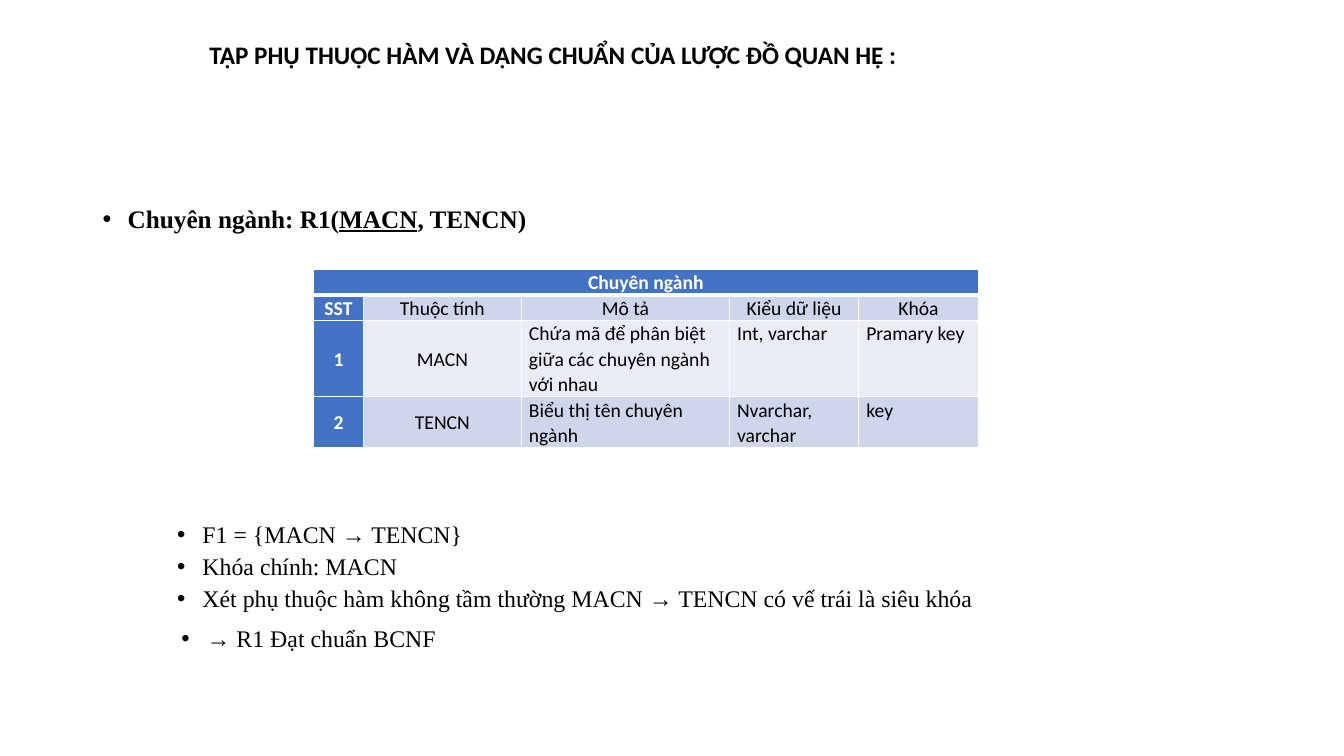
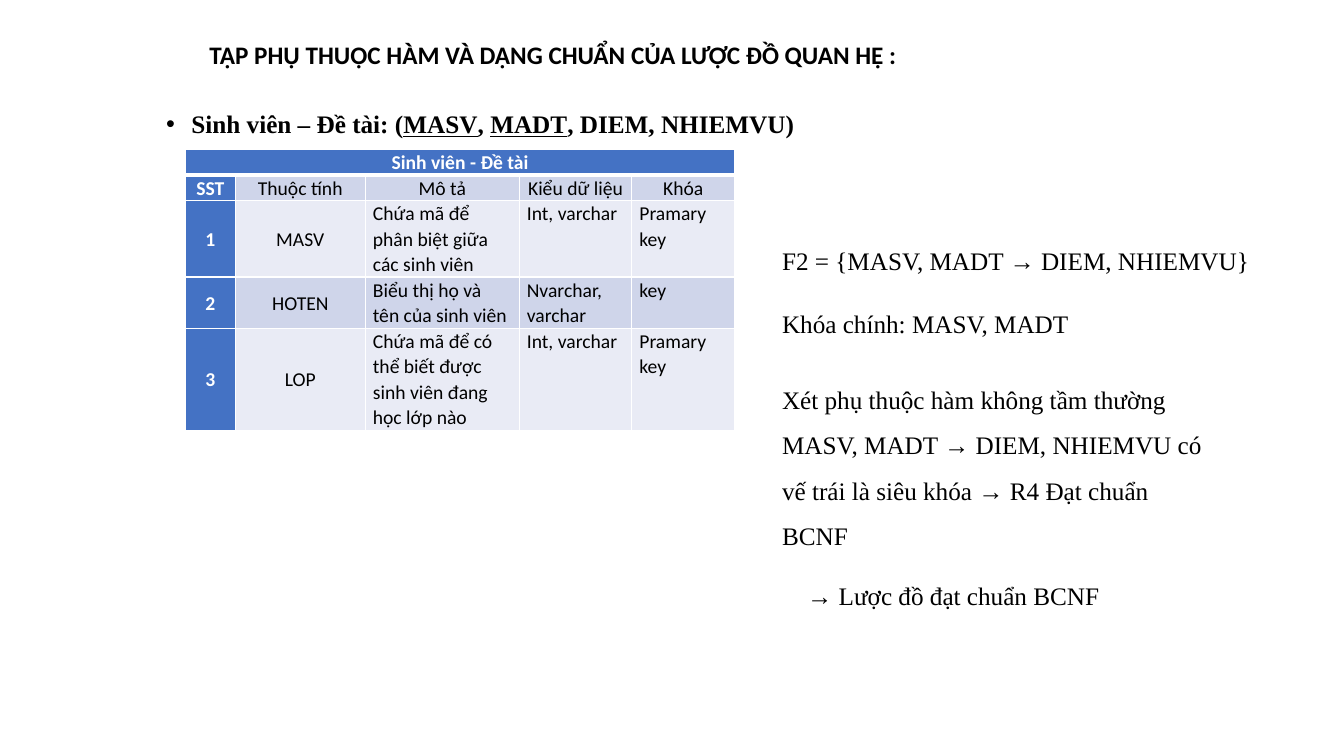
import pptx
import pptx.util
import pptx.dml.color
import pptx.enum.text
import pptx.oxml.ns
from lxml import etree

Pt = pptx.util.Pt
RGBColor = pptx.dml.color.RGBColor
PP_ALIGN = pptx.enum.text.PP_ALIGN
MSO_ANCHOR = pptx.enum.text.MSO_ANCHOR
qn = pptx.oxml.ns.qn

BLACK = RGBColor(0x00, 0x00, 0x00)
WHITE = RGBColor(0xFF, 0xFF, 0xFF)
HEADER_BLUE = RGBColor(0x44, 0x72, 0xC4)
BAND_DARK = RGBColor(0xCF, 0xD5, 0xEA)
BAND_LIGHT = RGBColor(0xE9, 0xEB, 0xF5)

TITLE = "TẬP PHỤ THUỘC HÀM VÀ DẠNG CHUẨN CỦA LƯỢC ĐỒ QUAN HỆ :"
TITLE_FONT = {"name": "Calibri", "size": Pt(18), "bold": True}
HEADING_FONT = {"name": "Times New Roman", "size": Pt(18), "bold": True}
LIST_FONT = {"name": "Times New Roman", "size": Pt(17), "bold": False}
NOTE_FONT = {"name": "Times New Roman", "size": Pt(18), "bold": False}
CELL_FONT = {"name": "Calibri", "size": Pt(14)}
CELL_MARGINS = {"margin_left": Pt(5.4), "margin_right": Pt(5.4),
                "margin_top": 0, "margin_bottom": 0}

TIGHT = {"line_spacing": 0.9, "space_before": Pt(4.5)}
LOOSE = {"line_spacing": 0.9, "space_before": Pt(10)}
BULLET_HANG = 18
ROW_LINE = 18.25
COLUMN_HEADS = ["SST", "Thuộc tính", "Mô tả", "Kiểu dữ liệu", "Khóa"]


def set_values(target, values):
    for name, value in values.items():
        setattr(target, name, value)


def add_text(slide, box, font, paragraphs):
    """Each paragraph is (text, format, left indent, bulleted); _x_ underlines x."""
    frame = slide.shapes.add_textbox(*map(Pt, box)).text_frame
    frame.word_wrap = True
    for number, (text, layout, indent, bulleted) in enumerate(paragraphs):
        paragraph = frame.add_paragraph() if number else frame.paragraphs[0]
        set_values(paragraph, layout)
        properties = paragraph._p.get_or_add_pPr()
        properties.set("marL", str(Pt(indent)))
        if bulleted:
            properties.set("indent", str(-Pt(BULLET_HANG)))
            etree.SubElement(properties, qn("a:buFont")).set("typeface", "Arial")
            etree.SubElement(properties, qn("a:buChar")).set("char", "•")
        for part, piece in enumerate(text.split("_")):
            run = paragraph.add_run()
            run.text = piece
            set_values(run.font, {**font, "underline": part % 2 == 1})
            run.font.color.rgb = BLACK


relations = [
    {
        "heading": "Chuyên ngành: R1(_MACN_, TENCN)",
        "heading_box": (66.2, 144, 828, 30),
        "table_name": "Chuyên ngành",
        "table_at": (224, 192.3),
        "columns": [35.6, 112.9, 148.7, 92.3, 85.3],
        "attributes": [
            (3, "MACN", "Chứa mã để phân biệt giữa các chuyên ngành với nhau",
             "Int, varchar", "Pramary key"),
            (2, "TENCN", "Biểu thị tên chuyên ngành", "Nvarchar, varchar", "key"),
        ],
        "notes": [
            ((119.5, 370, 774, 110), LIST_FONT, [
                ("F1 = {MACN → TENCN}", TIGHT, 18, True),
                ("Khóa chính: MACN", TIGHT, 18, True),
                ("Xét phụ thuộc hàm không tầm thường MACN → TENCN có vế trái là siêu khóa",
                 TIGHT, 18, True),
                ("→ R1 Đạt chuẩn BCNF", LOOSE, 21, True),
            ]),
        ],
    },
    {
        "heading": "Sinh viên – Đề tài: (_MASV_, _MADT_, DIEM, NHIEMVU)",
        "heading_box": (111.6, 76.3, 774, 30),
        "table_name": "Sinh viên - Đề tài",
        "table_at": (132.5, 106.7),
        "columns": [35.6, 92.9, 110, 80.4, 73.5],
        "attributes": [
            (3, "MASV", "Chứa mã để phân biệt giữa các sinh viên",
             "Int, varchar", "Pramary key"),
            (2, "HOTEN", "Biểu thị họ và tên của sinh viên",
             "Nvarchar, varchar", "key"),
            (4, "LOP", "Chứa mã để có thể biết được sinh viên đang học lớp nào",
             "Int, varchar", "Pramary key"),
        ],
        "notes": [
            ((551.5, 171.4, 400, 30), NOTE_FONT, [
                ("F2 = {MASV, MADT → DIEM, NHIEMVU}", {}, 0, False),
            ]),
            ((551.5, 217, 320, 225), NOTE_FONT, [
                ("Khóa chính: MASV, MADT", {}, 0, False),
                ("Xét phụ thuộc hàm không tầm thường MASV, MADT → DIEM, NHIEMVU "
                 "có vế trái là siêu khóa → R4 Đạt chuẩn BCNF",
                 {"line_spacing": 1.5, "space_before": Pt(21.5)}, 0, False),
                ("→ Lược đồ đạt chuẩn BCNF", {"space_before": Pt(21.2)}, 18, False),
            ]),
        ],
    },
]

deck = pptx.Presentation()
deck.slide_width, deck.slide_height = Pt(960), Pt(540)

for relation in relations:
    slide = deck.slides.add_slide(deck.slide_layouts[6])
    add_text(slide, (142.5, 27.3, 750, 30), TITLE_FONT, [(TITLE, TIGHT, 0, False)])
    add_text(slide, relation["heading_box"], HEADING_FONT,
             [(relation["heading"], LOOSE, BULLET_HANG, True)])

    rows = [[relation["table_name"], "", "", "", ""], COLUMN_HEADS]
    line_counts = [1, 1]
    for number, (lines, *values) in enumerate(relation["attributes"], 1):
        rows.append([str(number), *values])
        line_counts.append(lines)
    widths = relation["columns"]
    size = (sum(widths), ROW_LINE * sum(line_counts))
    table = slide.shapes.add_table(len(rows), len(widths),
                                   *map(Pt, relation["table_at"] + size)).table
    set_values(table, {"first_row": False, "horz_banding": False})
    for column, width in zip(table.columns, widths):
        column.width = Pt(width)

    for r, row in enumerate(rows):
        table.rows[r].height = Pt(ROW_LINE * line_counts[r])
        for c, text in enumerate(row):
            cell = table.cell(r, c)
            is_header = r == 0 or c == 0
            is_centred = r < 2 or c < 2
            set_values(cell, CELL_MARGINS)
            cell.vertical_anchor = MSO_ANCHOR.MIDDLE if is_centred else MSO_ANCHOR.TOP
            for side in "LRTB":
                thick = (r, side) in ((0, "B"), (1, "T"))
                border = etree.SubElement(cell._tc.get_or_add_tcPr(), qn("a:ln" + side))
                border.set("w", str(Pt(3 if thick else 1)))
                border_fill = etree.SubElement(border, qn("a:solidFill"))
                etree.SubElement(border_fill, qn("a:srgbClr")).set("val", str(WHITE))
            cell.fill.solid()
            band = BAND_DARK if r % 2 else BAND_LIGHT
            cell.fill.fore_color.rgb = HEADER_BLUE if is_header else band
            paragraph = cell.text_frame.paragraphs[0]
            paragraph.line_spacing = 1.07
            paragraph.alignment = PP_ALIGN.CENTER if is_centred else PP_ALIGN.LEFT
            set_values(paragraph.font, CELL_FONT)
            if text:
                run = paragraph.add_run()
                run.text = text
                set_values(run.font, {**CELL_FONT, "bold": is_header})
                run.font.color.rgb = WHITE if is_header else BLACK
    table.cell(0, 0).merge(table.cell(0, len(widths) - 1))

    for box, font, paragraphs in relation["notes"]:
        add_text(slide, box, font, paragraphs)

deck.save("out.pptx")
